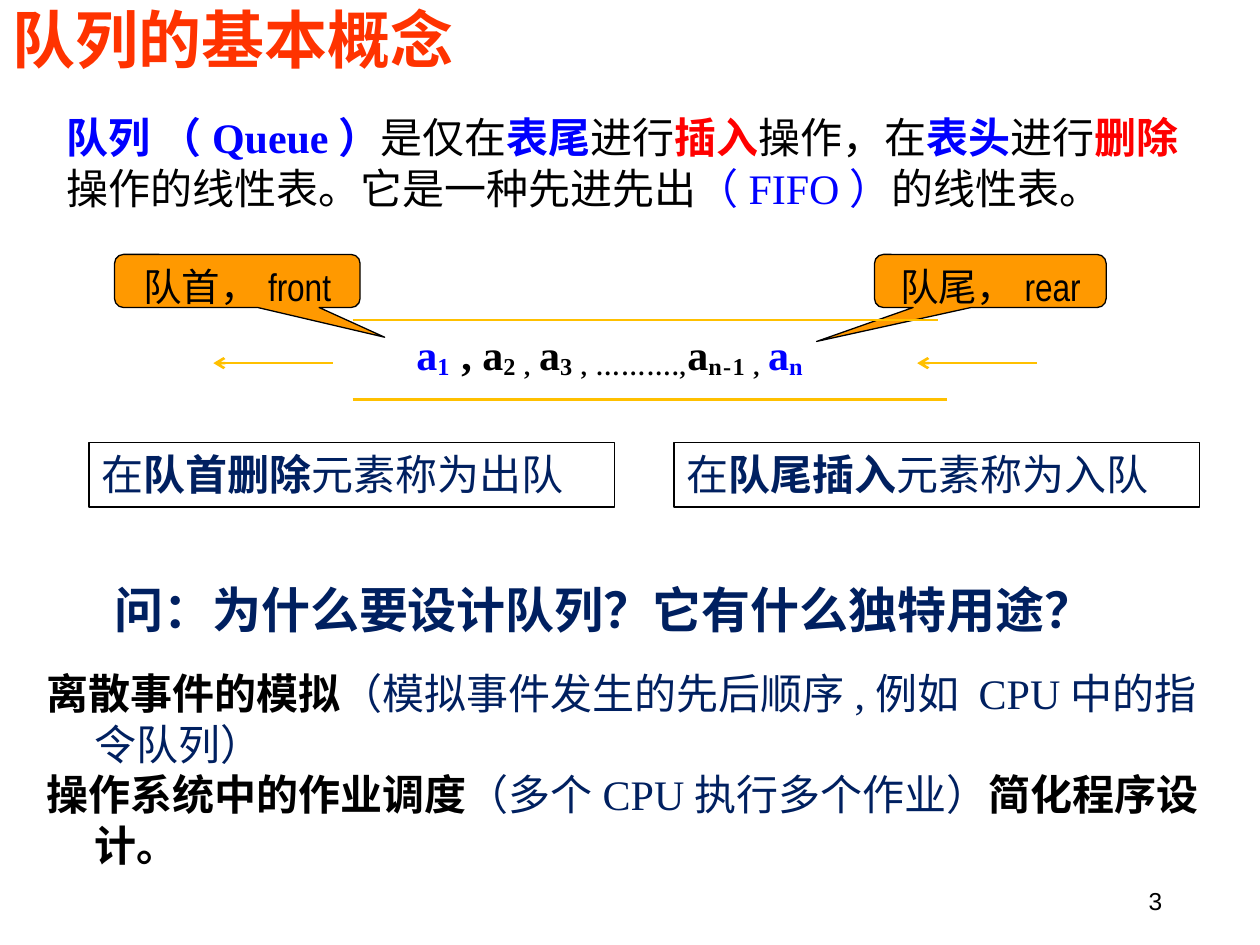
"""Build the slide that introduces the queue data structure."""
from lxml.etree import SubElement
from pptx import Presentation
from pptx.dml.color import RGBColor
from pptx.enum.shapes import MSO_CONNECTOR as CONNECTOR, MSO_SHAPE as SHAPE
from pptx.enum.text import MSO_ANCHOR as ANCHOR, PP_ALIGN as ALIGN
from pptx.oxml.ns import qn
from pptx.util import Cm, Pt

BLACK = RGBColor(0x00, 0x00, 0x00)
WHITE = RGBColor(0xFF, 0xFF, 0xFF)
BLUE = RGBColor(0x00, 0x00, 0xFF)
RED = RGBColor(0xFF, 0x00, 0x00)
NAVY = RGBColor(0x00, 0x20, 0x60)
TITLE_RED = RGBColor(0xFF, 0x33, 0x00)
ORANGE = RGBColor(0xFF, 0x99, 0x00)
GOLD = RGBColor(0xFF, 0xC0, 0x00)

SERIF = "Times New Roman"
SANS = "Arial"
NARROW = "Arial Narrow"
CHINESE = "Noto Sans CJK SC"


class QueueSlide:
    def __init__(self, slide):
        self.slide = slide
        self.shapes = slide.shapes

    def set_text(self, shape, paragraphs, size=24, font=SERIF, align=ALIGN.LEFT,
                 anchor=ANCHOR.TOP, wrap=True, hanging=0, line_spacing=None):
        frame = shape.text_frame
        frame.word_wrap = wrap
        frame.vertical_anchor = anchor
        for index, runs in enumerate(paragraphs):
            paragraph = frame.add_paragraph() if index else frame.paragraphs[0]
            paragraph.alignment = align
            if line_spacing:
                paragraph.line_spacing = line_spacing
            if hanging:
                properties = paragraph._p.get_or_add_pPr()
                properties.set("marL", str(Cm(hanging)))
                properties.set("indent", str(-Cm(hanging)))
            for text, color, bold, *subscript in runs:
                run = paragraph.add_run()
                run.text = text
                run.font.size = Pt(size)
                run.font.bold = bold
                run.font.color.rgb = color
                run.font.name = font
                properties = run._r.get_or_add_rPr()
                SubElement(properties, qn("a:ea")).set("typeface", CHINESE)
                if subscript:
                    properties.set("baseline", "-12000")
                    properties.set("spc", "75")

    def text(self, box, paragraphs, **style):
        self.set_text(self.shapes.add_textbox(*map(Cm, box)), paragraphs, **style)

    def shape(self, kind, box, fill, line_width, runs, adjustments=(), **style):
        shape = self.shapes.add_shape(kind, *map(Cm, box))
        shape.shadow.inherit = False
        shape.fill.solid()
        shape.fill.fore_color.rgb = fill
        shape.line.color.rgb = BLACK
        shape.line.width = Pt(line_width)
        for index, value in enumerate(adjustments):
            shape.adjustments[index] = value
        self.set_text(shape, [runs], **style)

    def operation(self, left, action, result):
        runs = [("在", NAVY, False), (action, NAVY, True), (result, NAVY, False)]
        self.shape(SHAPE.RECTANGLE, (left, 8.92, 10.59, 1.3), WHITE, 1, runs, font=SANS)

    def callout(self, left, width, label, tip):
        self.shape(SHAPE.ROUNDED_RECTANGULAR_CALLOUT, (left, 5.13, width, 1.07),
                   ORANGE, 0.75, [(label, BLACK, False)], (*tip, 0.17),
                   size=22, font=NARROW, align=ALIGN.CENTER)

    def line(self, start, end, y, arrow=False):
        line = self.shapes.add_connector(CONNECTOR.STRAIGHT, Cm(start), Cm(y), Cm(end), Cm(y))
        line.line.color.rgb = GOLD
        line.line.width = Pt(1.5)
        properties = line._element.spPr
        if arrow:
            SubElement(properties.find(qn("a:ln")), qn("a:tailEnd")).set("type", "arrow")
        SubElement(properties, qn("a:effectLst"))


def main():
    presentation = Presentation()
    presentation.slide_width, presentation.slide_height = Cm(25.4), Cm(19.05)
    page = QueueSlide(presentation.slides.add_slide(presentation.slide_layouts[6]))

    page.text((0, -0.03, 10.9, 1.8), [[("队列的基本概念", TITLE_RED, True)]],
              size=36, font=CHINESE, anchor=ANCHOR.MIDDLE, line_spacing=0.9)
    page.text((1.09, 2.13, 23.5, 2.31), [[
        ("队列 （Queue）", BLUE, True), ("是仅在", BLACK, False),
        ("表尾", BLUE, True), ("进行", BLACK, False),
        ("插入", RED, True), ("操作，在", BLACK, False),
        ("表头", BLUE, True), ("进行", BLACK, False),
        ("删除", RED, True), ("操作的线性表。它是一种先进先出", BLACK, False),
        ("（FIFO）", BLUE, False), ("的线性表。", BLACK, False)]])

    page.callout(2.31, 4.95, "队首，front", (0.6, 1.06))
    page.callout(17.63, 4.67, "队尾，rear", (-0.75, 1.14))
    page.line(7.11, 18.9, 6.45)
    page.line(7.11, 19.1, 8.05)
    page.text((7.49, 6.5, 9.6, 1.3), [[
        ("a", BLUE, True), ("1", BLUE, True, True),
        (" , a", BLACK, True), ("2 , ", BLACK, True, True),
        ("a", BLACK, True), ("3 , ……….,", BLACK, True, True),
        ("a", BLACK, True), ("n-1 , ", BLACK, True, True),
        ("a", BLUE, True), ("n", BLUE, True, True)]],
        align=ALIGN.CENTER, wrap=False)
    for start in (6.71, 20.9):
        page.line(start, start - 2.41, 7.32, arrow=True)

    page.operation(1.8, "队首删除", "元素称为出队")
    page.operation(13.59, "队尾插入", "元素称为入队")

    page.text((0.69, 11.33, 22.96, 1.91),
              [[("问：为什么要设计队列？它有什么独特用途？", NAVY, True)]],
              size=28, align=ALIGN.CENTER, anchor=ANCHOR.MIDDLE)
    page.text((0.69, 13.34, 24.21, 4.19), [
        [("离散事件的模拟", BLACK, True),
         ("（模拟事件发生的先后顺序,例如 CPU中的指令队列）", NAVY, False)],
        [("操作系统中的作业调度", BLACK, True),
         ("（多个CPU执行多个作业）", NAVY, False),
         ("简化程序设计。", BLACK, True)]], hanging=0.97)
    page.text((17.96, 17.65, 5.72, 1.02), [[("3", BLACK, False)]],
              size=14, font=SANS, align=ALIGN.RIGHT, anchor=ANCHOR.MIDDLE)
    presentation.save("out.pptx")


if __name__ == "__main__":
    main()
